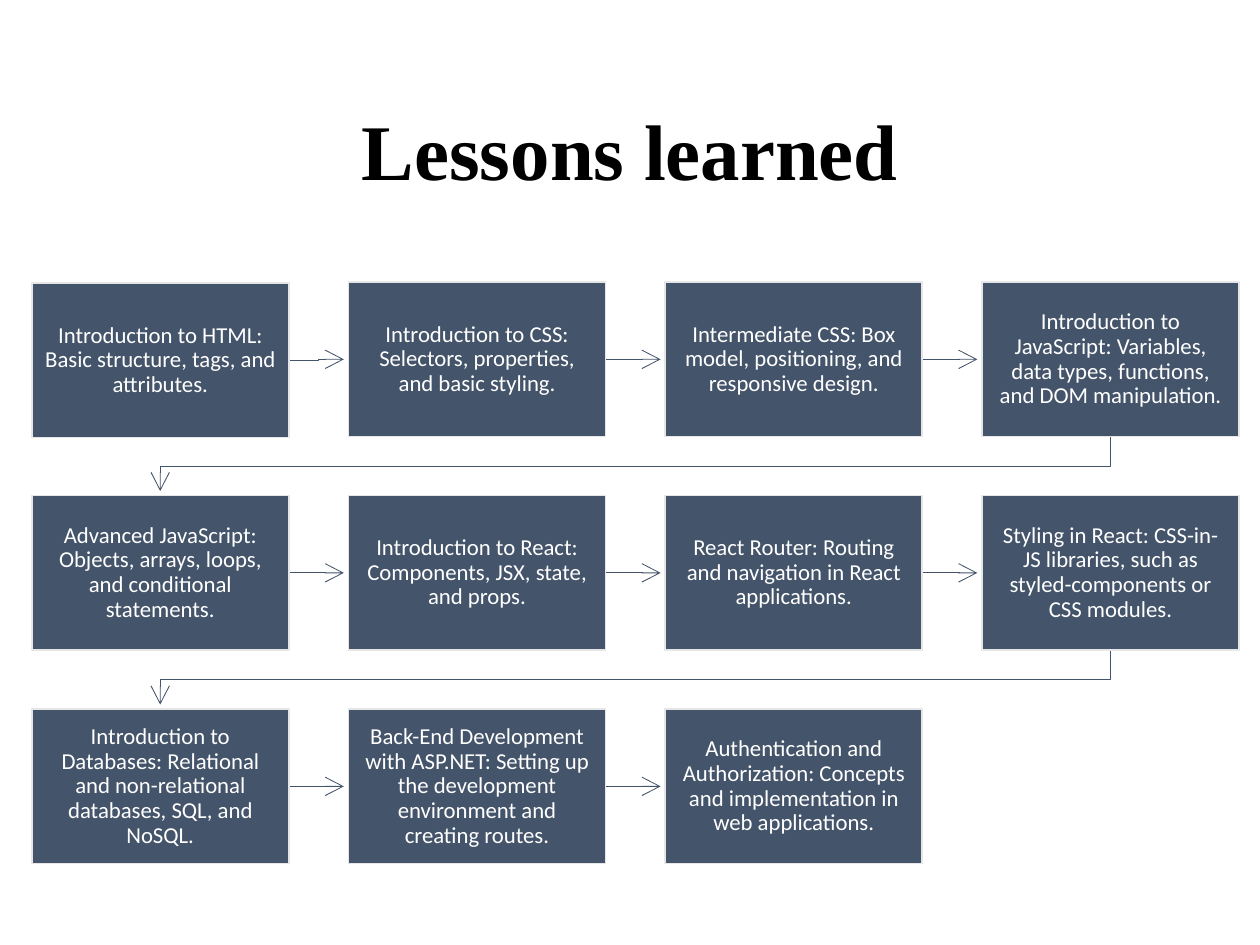
from dataclasses import dataclass

from lxml import etree
from pptx import Presentation
from pptx.dml.color import RGBColor
from pptx.enum import shapes, text
from pptx.oxml import ns
from pptx.util import Pt

SLATE, PALE, WHITE, BLACK = "44546A", "E7E6E6", "FFFFFF", "000000"

# Grid of lesson boxes, in points
COLUMNS = 4
LEFT, TOP = 18.1, 161.2
STEP_X, STEP_Y = 181, 122
BOX_WIDTH, BOX_HEIGHT = 146.9, 88.3
ARROW_CLEARANCE = 2.6
FIRST_BOX_DROP = 0.6

LESSONS = [
    "Introduction to HTML: Basic structure, tags, and attributes.",
    "Introduction to CSS: Selectors, properties, and basic styling.",
    "Intermediate CSS: Box model, positioning, and responsive design.",
    "Introduction to JavaScript: Variables, data types, functions, and DOM manipulation.",
    "Advanced JavaScript: Objects, arrays, loops, and conditional statements.",
    "Introduction to React: Components, JSX, state, and props.",
    "React Router: Routing and navigation in React applications.",
    "Styling in React: CSS-in-JS libraries, such as styled-components or CSS modules.",
    "Introduction to Databases: Relational and non-relational databases, SQL, and NoSQL.",
    "Back-End Development with ASP.NET: Setting up the development environment and creating routes.",
    "Authentication and Authorization: Concepts and implementation in web applications.",
]


@dataclass
class LessonBox:
    caption: str
    left: float
    top: float

    @property
    def right(self) -> float:
        return self.left + BOX_WIDTH

    @property
    def bottom(self) -> float:
        return self.top + BOX_HEIGHT

    @property
    def center_x(self) -> float:
        return self.left + BOX_WIDTH / 2

    @property
    def center_y(self) -> float:
        return self.top + BOX_HEIGHT / 2


def color(value: str) -> RGBColor:
    return RGBColor.from_string(value)


def format_text(frame, font_name: str, size: float, fill: str, bold: bool = False) -> None:
    frame.word_wrap = True
    frame.auto_size = text.MSO_AUTO_SIZE.NONE
    frame.vertical_anchor = text.MSO_ANCHOR.MIDDLE
    paragraph = frame.paragraphs[0]
    paragraph.alignment = text.PP_ALIGN.CENTER
    paragraph.line_spacing = 0.9
    font = paragraph.runs[0].font
    font.name, font.size, font.bold = font_name, Pt(size), bold
    font.color.rgb = color(fill)


def draw_box(slide, box: LessonBox) -> None:
    shape = slide.shapes.add_shape(
        shapes.MSO_SHAPE.RECTANGLE,
        Pt(box.left), Pt(box.top), Pt(BOX_WIDTH), Pt(BOX_HEIGHT))
    shape.shadow.inherit = False
    shape.fill.solid()
    shape.fill.fore_color.rgb = color(SLATE)
    shape.line.color.rgb = color(PALE)
    shape.line.width = Pt(1)
    frame = shape.text_frame
    frame.text = box.caption
    frame.margin_left = frame.margin_right = Pt(7.2)
    frame.margin_top = frame.margin_bottom = Pt(7.6)
    format_text(frame, "Calibri", 13, WHITE)


def route(start: LessonBox, end: LessonBox) -> list[tuple[float, float]]:
    """Corner points of the arrow between two consecutive boxes."""
    if end.left < start.left:
        middle = (start.bottom + end.top) / 2
        return [(start.center_x, start.bottom), (start.center_x, middle),
                (end.center_x, middle), (end.center_x, end.top - ARROW_CLEARANCE)]
    tip = (end.left - ARROW_CLEARANCE, end.center_y)
    if start.top == end.top:
        return [(start.right, start.center_y), tip]
    middle = (start.right + end.left) / 2
    return [(start.right, start.center_y), (middle, start.center_y),
            (middle, end.center_y), tip]


def draw_arrow(slide, points: list[tuple[float, float]]) -> None:
    corners = [(Pt(x), Pt(y)) for x, y in points]
    straight = len(corners) == 2
    if straight:
        arrow = slide.shapes.add_connector(
            shapes.MSO_CONNECTOR.STRAIGHT, *corners[0], *corners[1])
    else:
        builder = slide.shapes.build_freeform(*corners[0])
        builder.add_line_segments(corners[1:], close=False)
        arrow = builder.convert_to_shape()
        arrow.fill.background()
        arrow.shadow.inherit = False
    arrow.line.color.rgb = color(SLATE)
    arrow.line.width = Pt(0.5)
    properties = arrow._element.spPr
    line = properties.find(ns.qn("a:ln"))
    etree.SubElement(line, ns.qn("a:tailEnd"), type="arrow", w="lg", len="lg")
    if straight:
        etree.SubElement(properties, ns.qn("a:effectLst"))


def main() -> None:
    presentation = Presentation()
    presentation.slide_width, presentation.slide_height = Pt(720), Pt(540)
    slide = presentation.slides.add_slide(presentation.slide_layouts[5])

    # Title
    title = slide.shapes.title
    title.left, title.top, title.width, title.height = Pt(49.5), Pt(44), Pt(621), Pt(89)
    title.text_frame.text = "Lessons learned"
    format_text(title.text_frame, "Times New Roman", 45, BLACK, bold=True)

    # Lesson grid, read row by row
    boxes = [LessonBox(caption,
                       LEFT + index % COLUMNS * STEP_X,
                       TOP + index // COLUMNS * STEP_Y)
             for index, caption in enumerate(LESSONS)]
    boxes[0].top += FIRST_BOX_DROP

    # Arrows lie behind the boxes
    for start, end in zip(boxes, boxes[1:]):
        draw_arrow(slide, route(start, end))
    for box in boxes:
        draw_box(slide, box)

    presentation.save("out.pptx")


if __name__ == "__main__":
    main()
